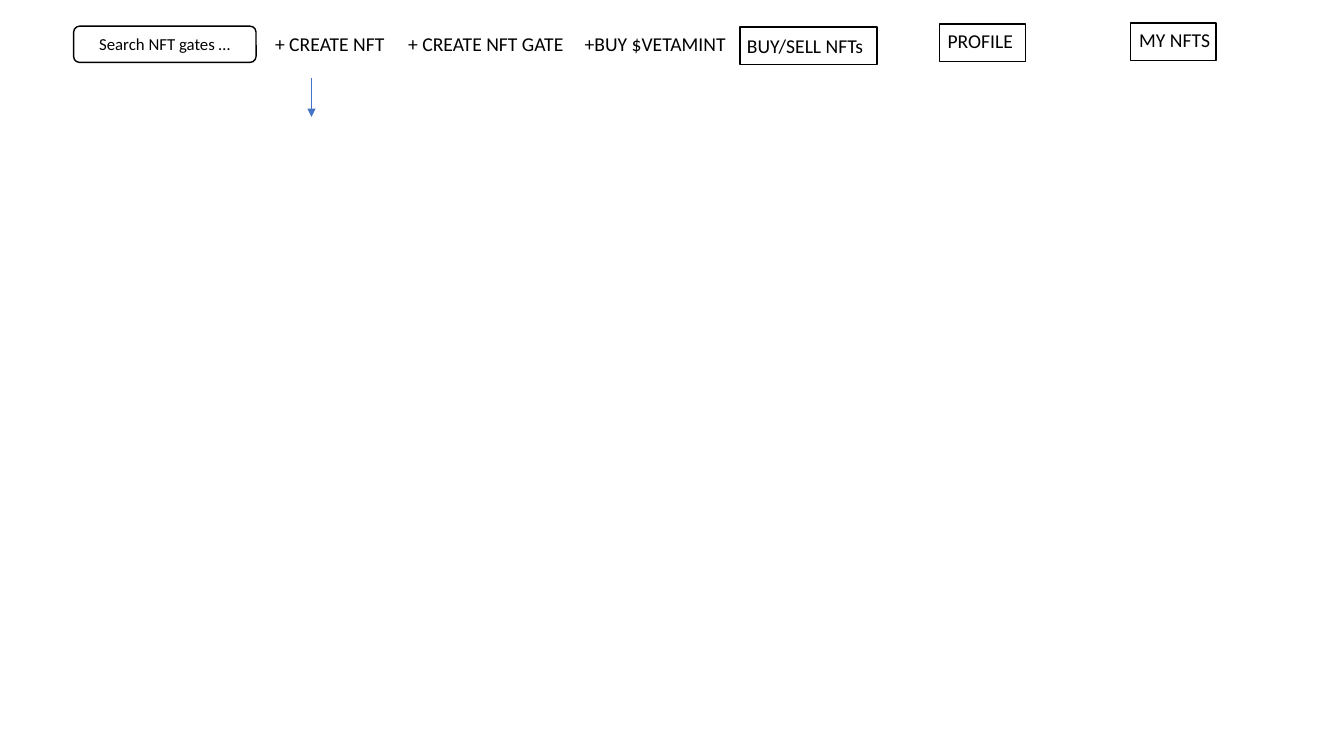
from pptx import Presentation
from pptx.dml.color import RGBColor
from pptx.enum.shapes import MSO_CONNECTOR, MSO_SHAPE
from pptx.enum.text import MSO_ANCHOR, MSO_AUTO_SIZE, PP_ALIGN
from pptx.oxml.ns import qn
from pptx.util import Inches, Pt
from lxml.etree import SubElement


def color(hex_string):
    return RGBColor.from_string(hex_string)


class NavBar:
    font = "Calibri"
    ink = "000000"
    accent = "4472C4"

    def __init__(self, slide):
        self.slide = slide

    def set_text(self, frame, text, size):
        frame.text = text
        font = frame.paragraphs[0].runs[0].font
        font.name, font.size = self.font, Pt(size)
        font.color.rgb = color(self.ink)

    def label(self, text, left, top, width):
        box = self.slide.shapes.add_textbox(
            Inches(left), Inches(top), Inches(width), Inches(0.34))
        frame = box.text_frame
        frame.word_wrap = False
        frame.auto_size = MSO_AUTO_SIZE.SHAPE_TO_FIT_TEXT
        self.set_text(frame, text, 14)

    def outline(self, left, top, width, height=0.37, kind=MSO_SHAPE.RECTANGLE):
        shape = self.slide.shapes.add_shape(
            kind, Inches(left), Inches(top), Inches(width), Inches(height))
        shape.shadow.inherit = False
        shape.fill.background()
        shape.line.color.rgb = color(self.ink)
        shape.line.width = Pt(1)
        return shape

    def search_field(self, text, left, top, width, height):
        field = self.outline(left, top, width, height, MSO_SHAPE.ROUNDED_RECTANGLE)
        frame = field.text_frame
        frame.vertical_anchor = MSO_ANCHOR.MIDDLE
        self.set_text(frame, text, 12)
        frame.paragraphs[0].alignment = PP_ALIGN.CENTER

    def down_arrow(self, x, top, bottom):
        arrow = self.slide.shapes.add_connector(
            MSO_CONNECTOR.STRAIGHT, Inches(x), Inches(top), Inches(x), Inches(bottom))
        arrow.line.color.rgb = color(self.accent)
        arrow.line.width = Pt(0.5)
        properties = arrow.element.spPr
        SubElement(properties.find(qn("a:ln")), qn("a:tailEnd"), type="triangle")
        SubElement(properties, qn("a:effectLst"))


deck = Presentation()
deck.slide_width, deck.slide_height = Inches(13.33), Inches(7.5)
nav = NavBar(deck.slides.add_slide(deck.slide_layouts[6]))

# Plain menu entries: text, left, width
for text, left, width in [("+BUY $VETAMINT", 5.7, 1.6),
                          ("+ CREATE NFT", 2.63, 1.3),
                          ("+ CREATE NFT GATE", 3.95, 1.76)]:
    nav.label(text, left, 0.27, width)

# Framed menu entries: text, label (left, top, width), frame (left, top, width)
for text, label, frame in [
        ("BUY/SELL NFTs", (7.31, 0.29, 1.36), (7.34, 0.27, 1.36)),
        ("PROFILE", (9.3, 0.24, 0.86), (9.32, 0.24, 0.85)),
        ("MY NFTS", (11.2, 0.23, 0.91), (11.21, 0.23, 0.85))]:
    nav.label(text, *label)
    nav.outline(*frame)

# Search field and the arrow under "+ CREATE NFT"
nav.search_field("Search NFT gates …", 0.73, 0.26, 1.81, 0.36)
nav.down_arrow(3.09, 0.77, 1.16)

deck.save("out.pptx")
